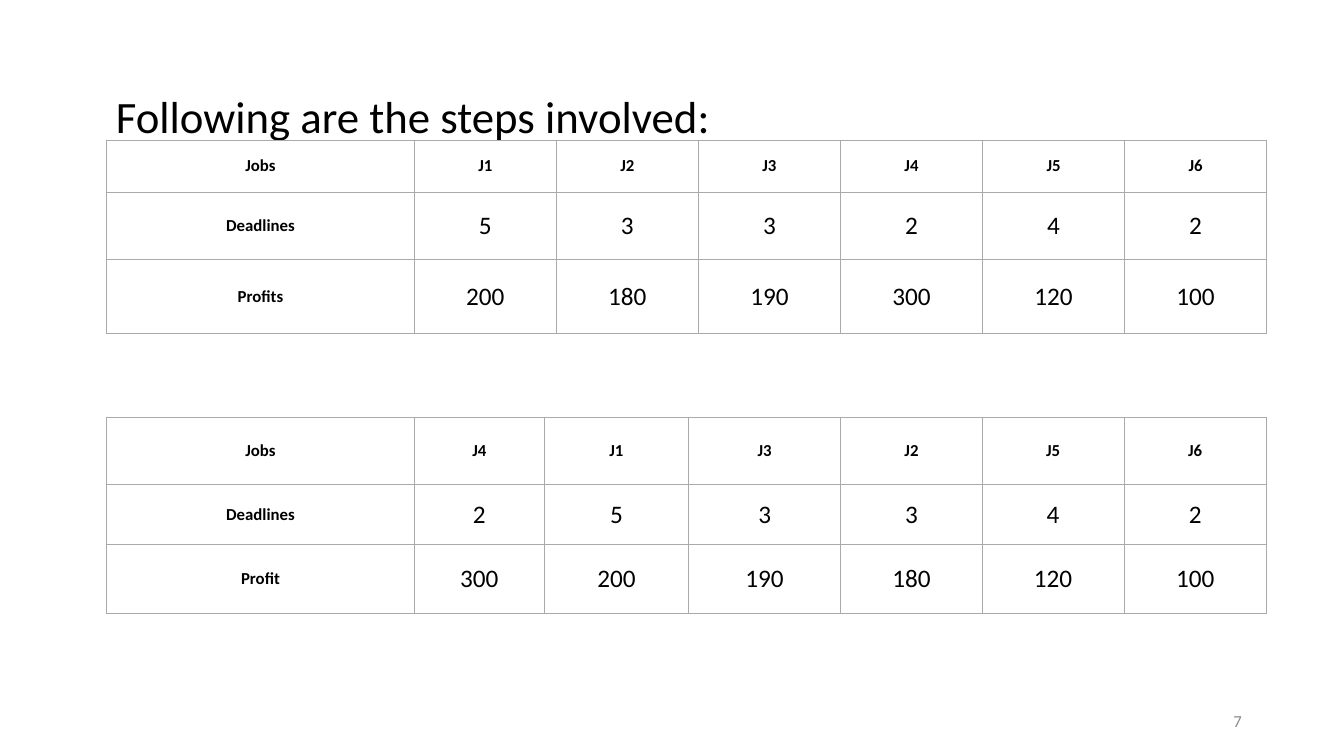
from dataclasses import dataclass

import pptx
import pptx.dml.color
import pptx.enum.text
import pptx.oxml
import pptx.oxml.ns
import pptx.slide
import pptx.table
import pptx.util

Cm = pptx.util.Cm
Pt = pptx.util.Pt
RGBColor = pptx.dml.color.RGBColor
PP_ALIGN = pptx.enum.text.PP_ALIGN
MIDDLE = pptx.enum.text.MSO_ANCHOR.MIDDLE

BLACK = RGBColor(0x00, 0x00, 0x00)
WHITE = RGBColor(0xFF, 0xFF, 0xFF)
GREY = RGBColor(0x8C, 0x8C, 0x8C)
BORDER = RGBColor(0xAA, 0xAA, 0xAA)
FONT = "Calibri"


@dataclass
class JobTable:
    """Lengths are in centimetres."""
    top: float
    side_margin: float
    widths: list[float]
    heights: list[float]
    rows: list[list[str]]


@dataclass
class Label:
    """Lengths are in centimetres, the size in points."""
    text: str
    left: float
    top: float
    width: float
    height: float
    size: int
    color: RGBColor
    align: PP_ALIGN
    spacing: float


TABLE_LEFT = 2.69
JOB_TABLES = [
    JobTable(10.52, 0.51, [7.75, 3.28, 3.63, 3.84, 3.56, 3.58, 3.58], [1.7, 1.5, 1.75], [
        ["Jobs", "J4", "J1", "J3", "J2", "J5", "J6"],
        ["Deadlines", "2", "5", "3", "3", "4", "2"],
        ["Profit", "300", "200", "190", "180", "120", "100"],
    ]),
    JobTable(3.53, 0.25, [7.75] + [3.58] * 6, [1.32, 1.68, 1.88], [
        ["Jobs", "J1", "J2", "J3", "J4", "J5", "J6"],
        ["Deadlines", "5", "3", "3", "2", "4", "2"],
        ["Profits", "200", "180", "190", "300", "120", "100"],
    ]),
]
TITLE = Label("Following are the steps involved:", 2.67, 1.17, 29.21, 3.68,
              32, BLACK, PP_ALIGN.LEFT, 0.9)
PAGE_NUMBER = Label("7", 23.93, 17.65, 7.62, 1.02, 12, GREY, PP_ALIGN.RIGHT, 1.0)


def format_text(tf, size: int, color: RGBColor, align: PP_ALIGN, bold: bool = False) -> None:
    p = tf.paragraphs[0]
    p.alignment = align
    for r in p.runs:
        r.font.name = FONT
        r.font.size = Pt(size)
        r.font.bold = bold
        r.font.color.rgb = color


def add_label(s: pptx.slide.Slide, label: Label) -> None:
    sp = s.shapes.add_textbox(Cm(label.left), Cm(label.top), Cm(label.width), Cm(label.height))
    tf = sp.text_frame
    tf.word_wrap = True
    tf.vertical_anchor = MIDDLE
    tf.text = label.text
    tf.paragraphs[0].line_spacing = label.spacing
    format_text(tf, label.size, label.color, label.align)


def set_borders(cell: pptx.table._Cell) -> None:
    """Put a thin line on all four sides, ahead of the fill as the schema requires."""
    tc_pr = cell._tc.get_or_add_tcPr()
    for i, side in enumerate("LRTB"):
        tc_pr.insert(i, pptx.oxml.parse_xml(
            f'<a:ln{side} {pptx.oxml.ns.nsdecls("a")} w="{Pt(0.75)}">'
            f'<a:solidFill><a:srgbClr val="{BORDER}"/></a:solidFill></a:ln{side}>'))


def add_job_table(s: pptx.slide.Slide, job: JobTable) -> None:
    table = s.shapes.add_table(len(job.heights), len(job.widths), Cm(TABLE_LEFT), Cm(job.top),
                               Cm(sum(job.widths)), Cm(sum(job.heights))).table
    for column, width in zip(table.columns, job.widths):
        column.width = Cm(width)
    for i, (height, texts) in enumerate(zip(job.heights, job.rows)):
        table.rows[i].height = Cm(height)
        for j, text in enumerate(texts):
            cell = table.cell(i, j)
            cell.fill.solid()
            cell.fill.fore_color.rgb = WHITE
            cell.margin_left = cell.margin_right = Cm(job.side_margin)
            cell.margin_top = cell.margin_bottom = Cm(0.2)
            cell.vertical_anchor = MIDDLE
            set_borders(cell)
            cell.text_frame.text = text
            heading = i == 0 or j == 0
            format_text(cell.text_frame, 12 if heading else 18, BLACK, PP_ALIGN.CENTER, heading)


def main() -> None:
    prs = pptx.Presentation()
    prs.slide_width = Cm(33.87)
    prs.slide_height = Cm(19.05)
    s = prs.slides.add_slide(prs.slide_layouts[6])
    add_label(s, TITLE)
    for job in JOB_TABLES:
        add_job_table(s, job)
    add_label(s, PAGE_NUMBER)
    prs.save("out.pptx")


if __name__ == "__main__":
    main()
